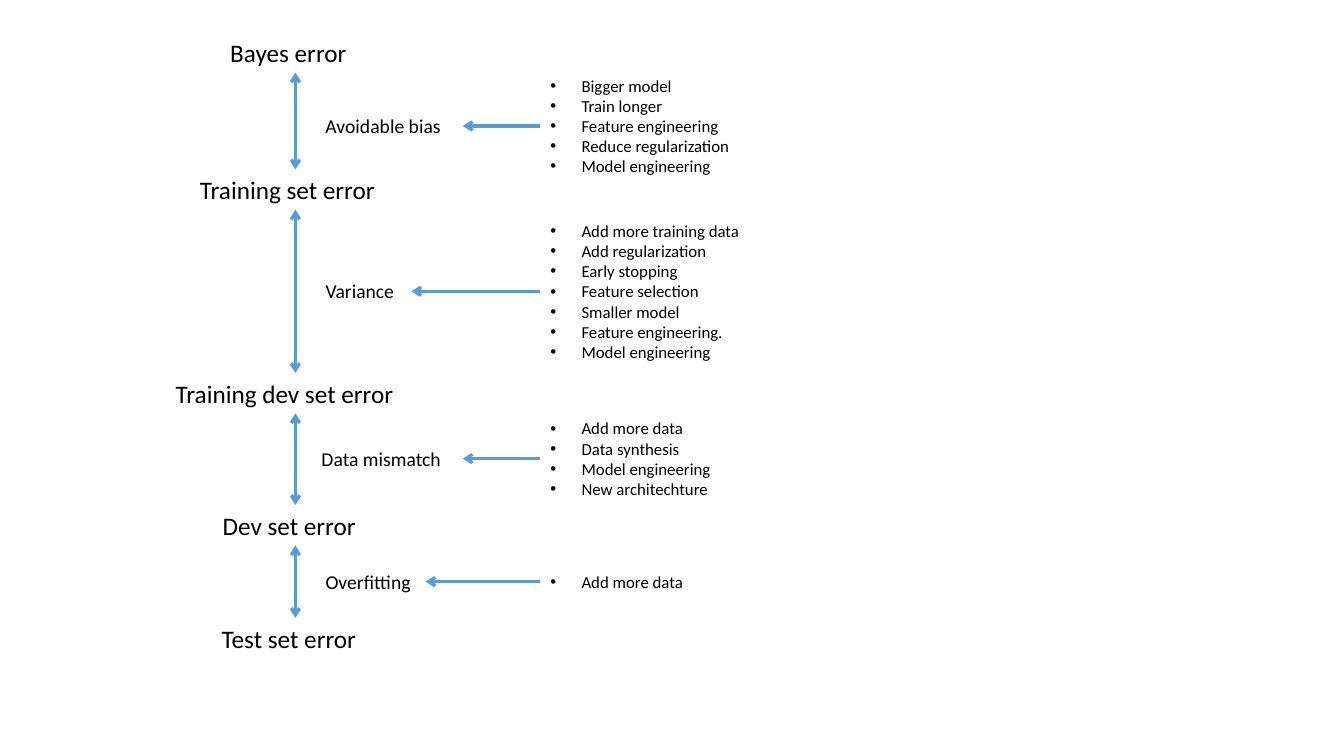
"""Build a slide that maps each gap between model errors to its remedies."""
from lxml.etree import SubElement
from pptx import Presentation
from pptx.dml.color import RGBColor
from pptx.enum.shapes import MSO_CONNECTOR
from pptx.enum.text import MSO_AUTO_SIZE
from pptx.oxml.ns import qn
from pptx.util import Inches, Pt

ERRORS = [
    ("Bayes error", 0.32, 1.49),
    ("Training set error", 1.68, 2.09),
    ("Training dev set error", 3.7, 2.57),
    ("Dev set error", 5.01, 1.64),
    ("Test set error", 6.13, 1.66),
]
GAPS = [
    ("Avoidable bias", 3.13, 1.46, 1.25, 2.13,
     ["Bigger model", "Train longer", "Feature engineering",
      "Reduce regularization", "Model engineering"]),
    ("Variance", 3.13, 0.95, 2.89, 2.2,
     ["Add more training data", "Add regularization", "Early stopping",
      "Feature selection", "Smaller model", "Feature engineering.",
      "Model engineering"]),
    ("Data mismatch", 3.09, 1.5, 4.55, 1.88,
     ["Add more data", "Data synthesis", "Model engineering",
      "New architechture"]),
    ("Overfitting", 3.13, 1.09, 5.77, 1.6, ["Add more data"]),
]
THEME = {
    "font": "Calibri", "text": RGBColor(0, 0, 0),
    "arrow": RGBColor(0x5B, 0x9B, 0xD5), "weight": Pt(2.25),
    "error": Pt(18), "gap": Pt(14), "remedy": Pt(12),
}
AXIS_X, REMEDY_X = 2.93, 5.36
ERROR_H, GAP_H, LINE_H, PADDING, INDENT = 0.4, 0.34, 0.2, 0.1, 0.31


def add_text(s, lines, left, top, width, height, size, bullets=False):
    sp = s.shapes.add_textbox(*map(Inches, (left, top, width, height)))
    tf = sp.text_frame
    tf.word_wrap, tf.auto_size = False, MSO_AUTO_SIZE.SHAPE_TO_FIT_TEXT
    font = {"name": THEME["font"], "size": THEME[size]}
    for i, line in enumerate(lines):
        p = tf.paragraphs[0] if i == 0 else tf.add_paragraph()
        r = p.add_run()
        r.text = line
        for key, value in font.items():
            setattr(r.font, key, value)
        r.font.color.rgb = THEME["text"]
        if bullets:
            pPr = p._p.get_or_add_pPr()
            pPr.set("marL", str(Inches(INDENT)))
            pPr.set("indent", str(-Inches(INDENT)))
            SubElement(pPr, qn("a:buFont")).set("typeface", "Arial")
            SubElement(pPr, qn("a:buChar")).set("char", "•")


def add_arrow(s, x1, y1, x2, y2, ends):
    cn = s.shapes.add_connector(MSO_CONNECTOR.STRAIGHT,
                                *map(Inches, (x1, y1, x2, y2)))
    cn.line.color.rgb, cn.line.width = THEME["arrow"], THEME["weight"]
    ln = cn.line._get_or_add_ln()
    for end in ends:
        SubElement(ln, qn(f"a:{end}")).set("type", "arrow")
    SubElement(cn._element.spPr, qn("a:effectLst"))


prs = Presentation()
prs.slide_width, prs.slide_height = Inches(13.33), Inches(7.5)
s = prs.slides.add_slide(prs.slide_layouts[6])

for name, top, width in ERRORS:
    add_text(s, [name], AXIS_X - width / 2, top, width, ERROR_H, "error")

for (_, upper, _), (_, lower, _) in zip(ERRORS, ERRORS[1:]):
    add_arrow(s, AXIS_X, upper + ERROR_H, AXIS_X, lower,
              ["headEnd", "tailEnd"])

for name, left, width, y, remedy_w, remedies in GAPS:
    add_text(s, [name], left, y - GAP_H / 2, width, GAP_H, "gap")
    height = LINE_H * len(remedies) + PADDING
    add_text(s, remedies, REMEDY_X, y - height / 2, remedy_w, height,
             "remedy", bullets=True)
    add_arrow(s, REMEDY_X, y, left + width, y, ["tailEnd"])

prs.save("out.pptx")
